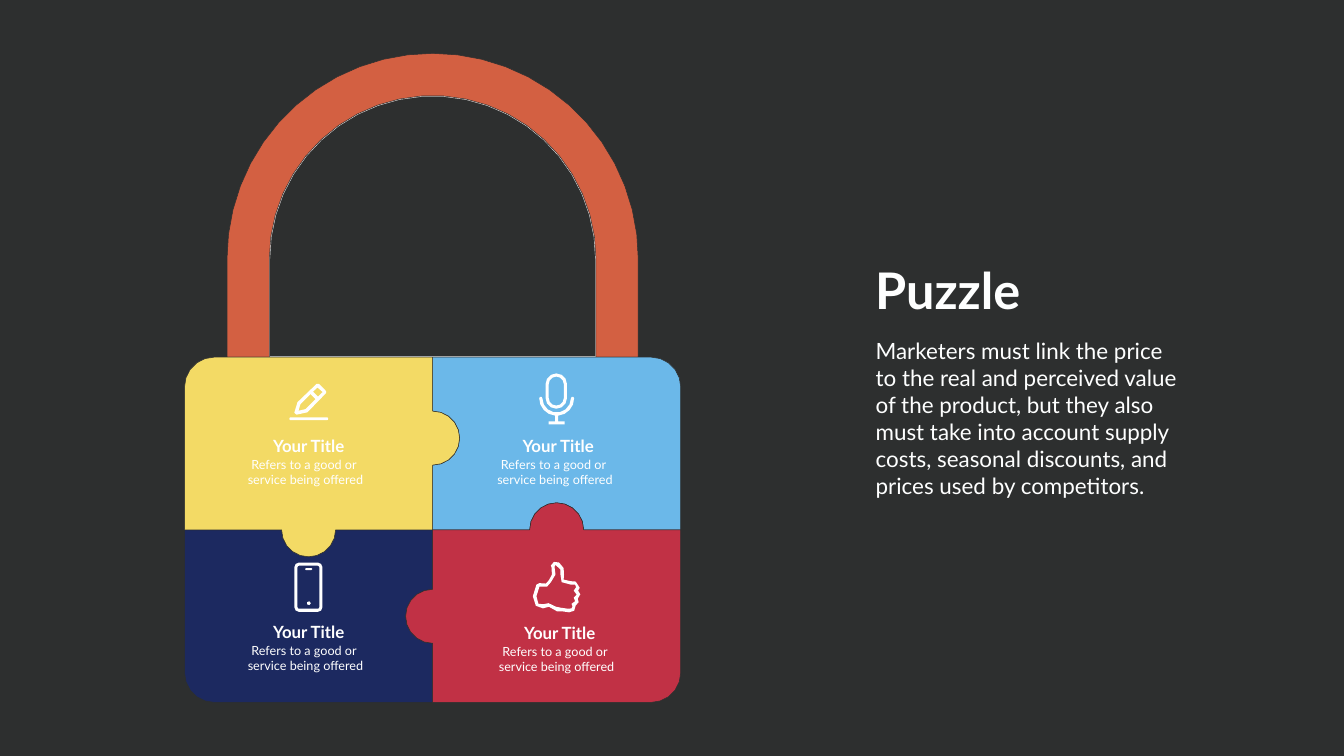
"""Build a padlock puzzle slide with four captioned pieces."""
from dataclasses import dataclass
from math import acos, ceil, cos, degrees, radians, sin
from typing import Optional

from pptx import Presentation
from pptx.dml.color import RGBColor
from pptx.enum.text import PP_ALIGN
from pptx.util import Cm, Pt

Points = list[tuple[float, float]]

LEFT, CENTER = PP_ALIGN.LEFT, PP_ALIGN.CENTER
FONT = "Lato"
DARK, WHITE, SOFT_WHITE = "2D2F2F", "FFFFFF", "FEFFFF"
BODY_LEFT, BODY_TOP, BODY_WIDTH, BODY_HEIGHT = 9.3, 18, 25, 17.4
BODY_RIGHT, BODY_BOTTOM = BODY_LEFT + BODY_WIDTH, BODY_TOP + BODY_HEIGHT
MIDDLE_X, MIDDLE_Y = BODY_LEFT + BODY_WIDTH / 2, BODY_TOP + BODY_HEIGHT / 2
LEFT_COLUMN, RIGHT_COLUMN = BODY_LEFT + BODY_WIDTH / 4, BODY_RIGHT - BODY_WIDTH / 4
UPPER_KNOB_Y, LOWER_KNOB_Y = 22.08, 31.06
CORNER, KNOB = 1.5, 1.36
ARCH_Y, ARCH_OUTER, ARCH_INNER = 13.05, 10.36, 8.23
STROKE = 0.16
ARC_TOLERANCE = 0.02


@dataclass
class Outline:
    """A filled or stroked shape made of one or more contours."""
    contours: list[Points]
    fill: Optional[str] = None
    line: Optional[str] = None
    line_width: float = 0.75


@dataclass
class Label:
    """A text box with one format for all its lines."""
    lines: list[str]
    left: float
    top: float
    width: float
    height: float
    size: int
    color: str = WHITE
    bold: bool = False
    alignment: PP_ALIGN = CENTER


def color_from(value: str) -> RGBColor:
    """Return the colour for a hex string."""
    return RGBColor.from_string(value)


def arc(x: float, y: float, radius: float, start: float, end: float) -> Points:
    """Return points along an arc; angles run clockwise from the right."""
    widest_step = 2 * degrees(acos(1 - ARC_TOLERANCE / radius))
    steps = ceil(abs(end - start) / widest_step)
    angles = [radians(start + (end - start) * i / steps) for i in range(steps + 1)]
    return [(x + radius * cos(a), y + radius * sin(a)) for a in angles]


def rounded(left: float, top: float, width: float, height: float, radius: float) -> Points:
    """Return a rectangle with rounded corners."""
    x1, x2 = left + radius, left + width - radius
    y1, y2 = top + radius, top + height - radius
    return (arc(x1, y1, radius, 180, 270) + arc(x2, y1, radius, 270, 360)
            + arc(x2, y2, radius, 0, 90) + arc(x1, y2, radius, 90, 180))


def ring(left: float, top: float, width: float, height: float, radius: float) -> list[Points]:
    """Return the two contours of a rounded frame."""
    return [rounded(left, top, width, height, radius),
            rounded(left + STROKE, top + STROKE, width - 2 * STROKE,
                    height - 2 * STROKE, radius - STROKE)]


def draw_outline(slide, outline: Outline) -> None:
    """Draw an outline as a freeform."""
    builder = None
    for contour in outline.contours:
        (x, y), *rest = [(Cm(px), Cm(py)) for px, py in contour]
        if builder is None:
            builder = slide.shapes.build_freeform(x, y)
        else:
            builder.move_to(x, y)
        builder.add_line_segments(rest, close=True)
    shape = builder.convert_to_shape()
    shape.shadow.inherit = False
    if outline.fill:
        shape.fill.solid()
        shape.fill.fore_color.rgb = color_from(outline.fill)
    else:
        shape.fill.background()
    if outline.line:
        shape.line.color.rgb = color_from(outline.line)
        shape.line.width = Pt(outline.line_width)
    else:
        shape.line.fill.background()


def draw_label(slide, label: Label) -> None:
    """Draw a text box."""
    box = slide.shapes.add_textbox(Cm(label.left), Cm(label.top), Cm(label.width), Cm(label.height))
    frame = box.text_frame
    frame.word_wrap = True
    frame.text = "\n".join(label.lines)
    for paragraph in frame.paragraphs:
        paragraph.alignment = label.alignment
        paragraph.font.name = FONT
        paragraph.font.size = Pt(label.size)
        paragraph.font.bold = label.bold
        paragraph.font.color.rgb = color_from(label.color)


def draw_caption(slide, left: float, top: float) -> None:
    """Draw the title and text of one puzzle piece."""
    draw_label(slide, Label(["Your Title"], left, top, 4.29, 1.17, 24, bold=True))
    draw_label(slide, Label(["Refers to a good or ", "service being offered"],
                            left - 1.33, top + 1.1, 6.63, 2.01, 18))


def padlock() -> list[Outline]:
    """Return the shackle and the four puzzle pieces, back to front."""
    inner_arch = ([(MIDDLE_X - ARCH_INNER, BODY_TOP)]
                  + arc(MIDDLE_X, ARCH_Y, ARCH_INNER, 180, 360)
                  + [(MIDDLE_X + ARCH_INNER, BODY_TOP)])
    outer_arch = ([(MIDDLE_X + ARCH_OUTER, BODY_TOP)]
                  + arc(MIDDLE_X, ARCH_Y, ARCH_OUTER, 360, 180)
                  + [(MIDDLE_X - ARCH_OUTER, BODY_TOP)])
    x1, x2 = BODY_LEFT + CORNER, BODY_RIGHT - CORNER
    y1, y2 = BODY_TOP + CORNER, BODY_BOTTOM - CORNER
    center = [(MIDDLE_X, MIDDLE_Y)]
    top, bottom = [(MIDDLE_X, BODY_TOP)], [(MIDDLE_X, BODY_BOTTOM)]
    left, right = [(BODY_LEFT, MIDDLE_Y)], [(BODY_RIGHT, MIDDLE_Y)]
    upper_knob = arc(MIDDLE_X, UPPER_KNOB_Y, KNOB, 270, 450)
    lower_knob = arc(MIDDLE_X, LOWER_KNOB_Y, KNOB, 90, 270)
    left_knob = arc(LEFT_COLUMN, MIDDLE_Y, KNOB, 0, 180)
    right_knob = arc(RIGHT_COLUMN, MIDDLE_Y, KNOB, 180, 360)
    blue = top + upper_knob + center + right_knob + right + arc(x2, y1, CORNER, 360, 270)
    navy = center + left_knob[:] + left + arc(x1, y2, CORNER, 180, 90) + bottom + lower_knob
    red = center + right_knob + right + arc(x2, y2, CORNER, 0, 90) + bottom + lower_knob
    yellow = top + upper_knob + center + left_knob + left + arc(x1, y1, CORNER, 180, 270)
    pieces = [(inner_arch + outer_arch, "D36042"), (blue, "6BB8E9"), (navy, "1C2960"),
              (red, "C13145"), (yellow, "F3DA65")]
    return [Outline([inner_arch], line=WHITE, line_width=1.93)] + [
        Outline([points], fill, DARK) for points, fill in pieces]


def icons() -> list[Outline]:
    """Return the pencil, microphone, thumb and phone."""
    pencil = [
        [(14.83, 20.8), (14.99, 20.27), (15.95, 19.35), (16.08, 19.35),
         (16.43, 19.71), (16.43, 19.81), (15.49, 20.78), (14.94, 20.9)],
        [(16, 19.53), (16.26, 19.76), (16.03, 19.99), (15.77, 19.74)],
        [(15.14, 20.37), (15.65, 19.86), (15.9, 20.12), (15.39, 20.62), (15.04, 20.7)]]
    x, y = RIGHT_COLUMN, 20.07
    stand = (arc(x, y, 0.88, 0, 85)
             + [(x + 0.08, 21.23), (x + 0.4, 21.23), (x + 0.4, 21.39),
                (x - 0.4, 21.39), (x - 0.4, 21.23), (x - 0.08, 21.23)]
             + arc(x, y, 0.88, 95, 180) + arc(x - 0.8, y, 0.08, 180, 360)
             + arc(x, y, 0.72, 180, 0) + arc(x + 0.8, y, 0.08, 180, 360))
    thumb_outside = [
        (28.68, 30.86), (28.32, 30.81), (28.07, 30.81), (27.66, 30.58), (27.36, 30.66), (27, 30.53),
        (26.85, 30.05), (27.03, 29.46), (27.18, 29.39), (27.51, 29.41), (27.66, 29.24), (27.81, 28.96),
        (27.79, 28.6), (27.76, 28.5), (27.91, 28.32), (28.17, 28.35), (28.4, 28.63), (28.42, 28.98),
        (28.4, 29.21), (28.75, 29.29), (29.01, 29.31), (29.21, 29.62), (29.13, 29.77), (29.24, 29.95),
        (29.11, 30.18), (29.16, 30.35), (29.01, 30.51), (28.93, 30.78)]
    thumb_inside = [
        (28.27, 30.63), (28.63, 30.68), (28.8, 30.66), (28.85, 30.56), (28.8, 30.43), (28.98, 30.3),
        (28.91, 30.12), (29.06, 29.97), (28.91, 29.77), (29.03, 29.59), (28.98, 29.46), (28.75, 29.46),
        (28.3, 29.34), (28.24, 28.96), (28.24, 28.7), (27.99, 28.47), (27.94, 28.55), (27.99, 28.96),
        (27.76, 29.34), (27.56, 29.57), (27.18, 29.57), (27.03, 30.05), (27.13, 30.43), (27.38, 30.45),
        (27.64, 30.4), (28.02, 30.58)]
    drawings = [pencil, [rounded(14.58, 21.03, 1.96, 0.15, 0.07)],
                ring(27.49, 18.82, 1.08, 1.78, 0.54), [stand],
                [thumb_outside, thumb_inside],
                ring(14.83, 28.35, 1.42, 2.49, 0.24), [arc(15.56, 30.4, 0.1, 0, 360)],
                [rounded(15.37, 28.63, 0.37, 0.1, 0.05)]]
    return [Outline(contours, WHITE) for contours in drawings]


def main() -> None:
    """Build and save the presentation."""
    presentation = Presentation()
    presentation.slide_width, presentation.slide_height = Cm(67.72), Cm(38.1)
    slide = presentation.slides.add_slide(presentation.slide_layouts[6])
    slide.background.fill.solid()
    slide.background.fill.fore_color.rgb = color_from(DARK)
    for outline in padlock() + icons():
        draw_outline(slide, outline)
    draw_label(slide, Label(["Puzzle"], 43.84, 12.93, 8.79, 3.33, 72, SOFT_WHITE, True, LEFT))
    draw_label(slide, Label(
        ["Marketers must link the price to the real and perceived value of the product, but they also "
         "must take into account supply costs, seasonal discounts, and prices used by competitors."],
        43.87, 16.87, 15.8, 8.46, 32, SOFT_WHITE, alignment=LEFT))
    for left, top in [(13.41, 21.82), (25.98, 21.82), (26.06, 31.24), (13.41, 31.19)]:
        draw_caption(slide, left, top)
    presentation.save("out.pptx")


if __name__ == "__main__":
    main()
